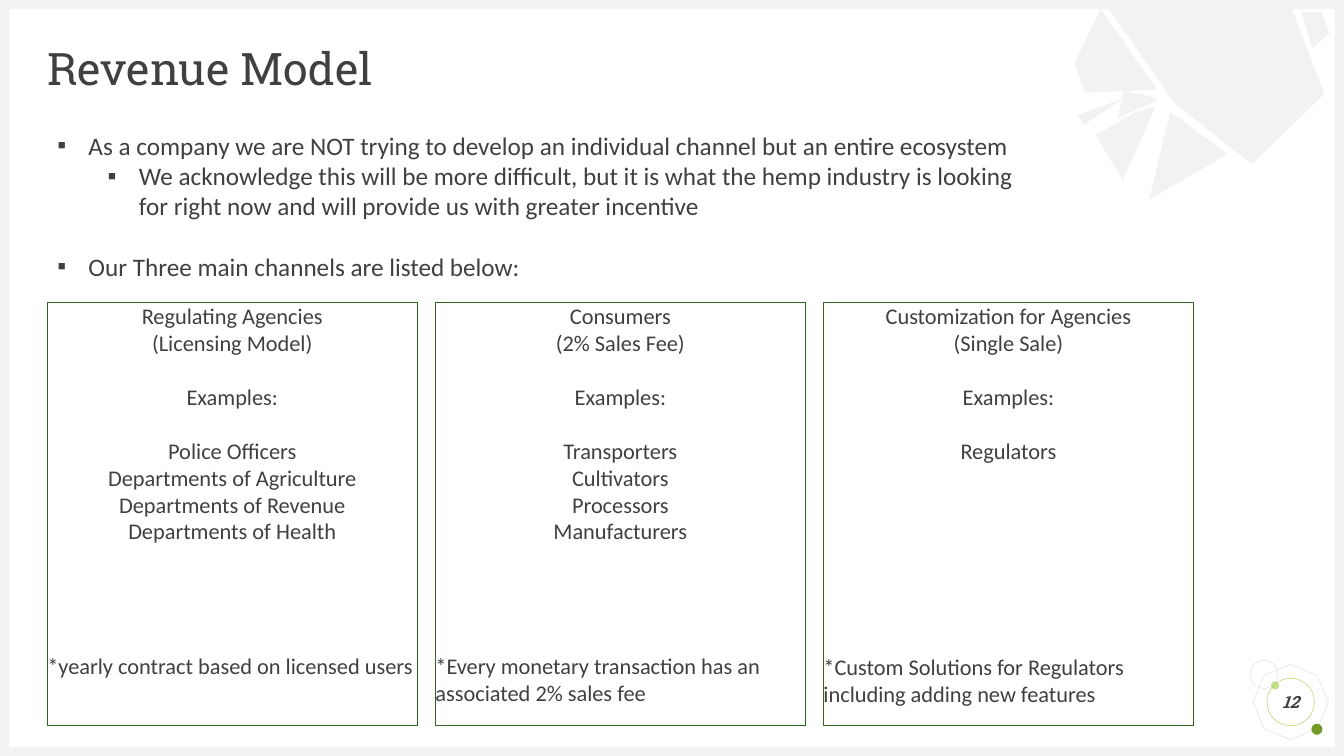
"""Build the Revenue Model slide with its three sales channels."""
import pptx
import pptx.util
import pptx.dml.color
import pptx.enum.shapes
import pptx.enum.text
import lxml.etree

Inches, Pt = pptx.util.Inches, pptx.util.Pt
SHAPE = pptx.enum.shapes.MSO_SHAPE
ALIGN = pptx.enum.text.PP_ALIGN
ANCHOR = pptx.enum.text.MSO_ANCHOR
HEIGHT = 7.5
WIDTH = HEIGHT * 16 / 9
MARGIN, BORDER = 0.47, 0.09
INK, PALE = "404040", "F2F2F2"


def paint(shape, fill=None, line=None, weight=0.25):
    """Set fill and line from hex strings and clear the shadow and insets."""
    shape.shadow.inherit = False
    for part, color in ((shape.fill, fill), (shape.line.fill, line)):
        if color:
            part.solid()
            part.fore_color.rgb = pptx.dml.color.RGBColor.from_string(color)
        else:
            part.background()
    if line:
        shape.line.width = Pt(weight)
    frame = shape.text_frame
    frame.margin_left = frame.margin_right = frame.margin_top = frame.margin_bottom = 0


def style(paragraph, size, face="Calibri", align=ALIGN.LEFT):
    """Set the font and alignment of a paragraph."""
    paragraph.alignment = align
    paragraph.font.size = Pt(size)
    paragraph.font.name = face
    paragraph.font.color.rgb = pptx.dml.color.RGBColor.from_string(INK)


deck = pptx.Presentation()
deck.slide_width, deck.slide_height = Inches(WIDTH), Inches(HEIGHT)
slide = deck.slides.add_slide(deck.slide_layouts[5])
shapes = slide.shapes

ornaments = [
    (SHAPE.OCTAGON, 12.46, 6.62, 0.69, 22.7, None, "D9D9D9"),
    (SHAPE.OVAL, 12.61, 6.76, 0.08, 0, "C2E088", None),
    (SHAPE.OVAL, 13.01, 7.18, 0.11, 0, "749A29", None),
    (SHAPE.OVAL, 12.4, 6.55, 0.28, 0, None, "D9D9D9"),
]
for kind, left, top, size, turn, fill, line in ornaments:
    ornament = shapes.add_shape(kind, Inches(left), Inches(top), Inches(size), Inches(size))
    ornament.rotation = turn
    paint(ornament, fill, line)

borders = [
    (0, HEIGHT - BORDER, WIDTH, BORDER),
    (0, 0, WIDTH, BORDER),
    (0, 0, BORDER, HEIGHT),
    (WIDTH - BORDER, 0, BORDER, HEIGHT),
]
for box in borders:
    paint(shapes.add_shape(SHAPE.RECTANGLE, *map(Inches, box)), PALE)

shards = [
    [(1242, 163), (1165, 102), (1096, 3), (1280, 5), (1314, 93)],
    [(1092, 9), (1148, 89), (1076, 92), (1066, 63)],
    [(1075, 124), (1069, 114), (1114, 98)],
    [(1302, 48), (1291, 12), (1311, 12), (1319, 33)],
    [(1218, 153), (1140, 198), (1161, 111)],
    [(1114, 179), (1087, 134), (1127, 111), (1146, 106)],
    [(1109, 117), (1115, 90), (1139, 95), (1148, 100)],
]
for corners in shards:
    outline = shapes.build_freeform(*corners[0], scale=Inches(0.01))
    outline.add_line_segments(corners[1:], close=True)
    paint(outline.convert_to_shape(), PALE)

title = shapes.title
title.left, title.top = Inches(MARGIN), Inches(MARGIN)
title.width, title.height = Inches(WIDTH - 2 * MARGIN), Inches(0.47)
title.text = "Revenue Model"
heading = title.text_frame
heading.margin_left = heading.margin_right = heading.margin_top = heading.margin_bottom = 0
heading.vertical_anchor = ANCHOR.MIDDLE
heading.paragraphs[0].line_spacing = 0.9
style(heading.paragraphs[0], 32, "Roboto Slab")

badge = shapes.add_shape(SHAPE.OVAL, Inches(12.57), Inches(6.73), Inches(0.47), Inches(0.47))
paint(badge, None, "9ACB39")
badge.text_frame.vertical_anchor = ANCHOR.MIDDLE
badge.text_frame.word_wrap = False
page = badge.text_frame.paragraphs[0]
page.text = "12"
style(page, 12, "Roboto Slab", ALIGN.CENTER)
page.font.bold = page.font.italic = True

points = [
    (0, 0, "As a company we are NOT trying to develop an individual channel but an entire ecosystem"),
    (1, 0, "We acknowledge this will be more difficult, but it is what the hemp industry is looking\v"
           "for right now and will provide us with greater incentive"),
    (0, 21.6, "Our Three main channels are listed below:"),
]
intro = shapes.add_textbox(Inches(MARGIN), Inches(1.24), Inches(10.14), Inches(1.92)).text_frame
intro.word_wrap = True
for index, (level, gap, wording) in enumerate(points):
    point = intro.add_paragraph() if index else intro.paragraphs[0]
    point.text = wording
    point.level = level
    point.space_before = Pt(gap)
    style(point, 18)
    properties = point._p.get_or_add_pPr()
    properties.set("marL", str(Inches(0.31 + 0.5 * level)))
    properties.set("indent", str(Inches(-0.31)))
    defaults = properties.find(pptx.oxml.ns.qn("a:defRPr"))
    for tag, setting in (("a:buFont", {"typeface": "Arial"}), ("a:buChar", {"char": "▪"})):
        defaults.addprevious(lxml.etree.Element(pptx.oxml.ns.qn(tag), setting))

LINE_PITCH, NOTE_ROW, FIRST_EXAMPLE_ROW = 19.3, 13, 5
CARD_WIDTH, CARD_GAP = 3.67, 0.18
channels = [
    ("Regulating Agencies", "(Licensing Model)",
     ["Police Officers", "Departments of Agriculture", "Departments of Revenue", "Departments of Health"],
     "*yearly contract based on licensed users"),
    ("Consumers", "(2% Sales Fee)",
     ["Transporters", "Cultivators", "Processors", "Manufacturers"],
     "*Every monetary transaction has an associated 2% sales fee"),
    ("Customization for Agencies", "(Single Sale)", ["Regulators"],
     "*Custom Solutions for Regulators including adding new features"),
]
for column, (channel, model, examples, note) in enumerate(channels):
    left = MARGIN + column * (CARD_WIDTH + CARD_GAP)
    card = shapes.add_shape(SHAPE.RECTANGLE, Inches(left), Inches(3), Inches(CARD_WIDTH), Inches(4.2))
    paint(card, None, "306422", 0.75)
    card.text_frame.vertical_anchor = ANCHOR.TOP
    card.text_frame.word_wrap = True
    lines = [channel, model, "Examples:", *examples, note]
    note_gap = NOTE_ROW - FIRST_EXAMPLE_ROW - len(examples)
    skipped_rows = {2: 1, 3: 1, len(lines) - 1: note_gap}
    for index, wording in enumerate(lines):
        entry = card.text_frame.add_paragraph() if index else card.text_frame.paragraphs[0]
        entry.text = wording
        entry.space_before = Pt(skipped_rows.get(index, 0) * LINE_PITCH)
        style(entry, 16, align=ALIGN.LEFT if wording == note else ALIGN.CENTER)

deck.save("out.pptx")
